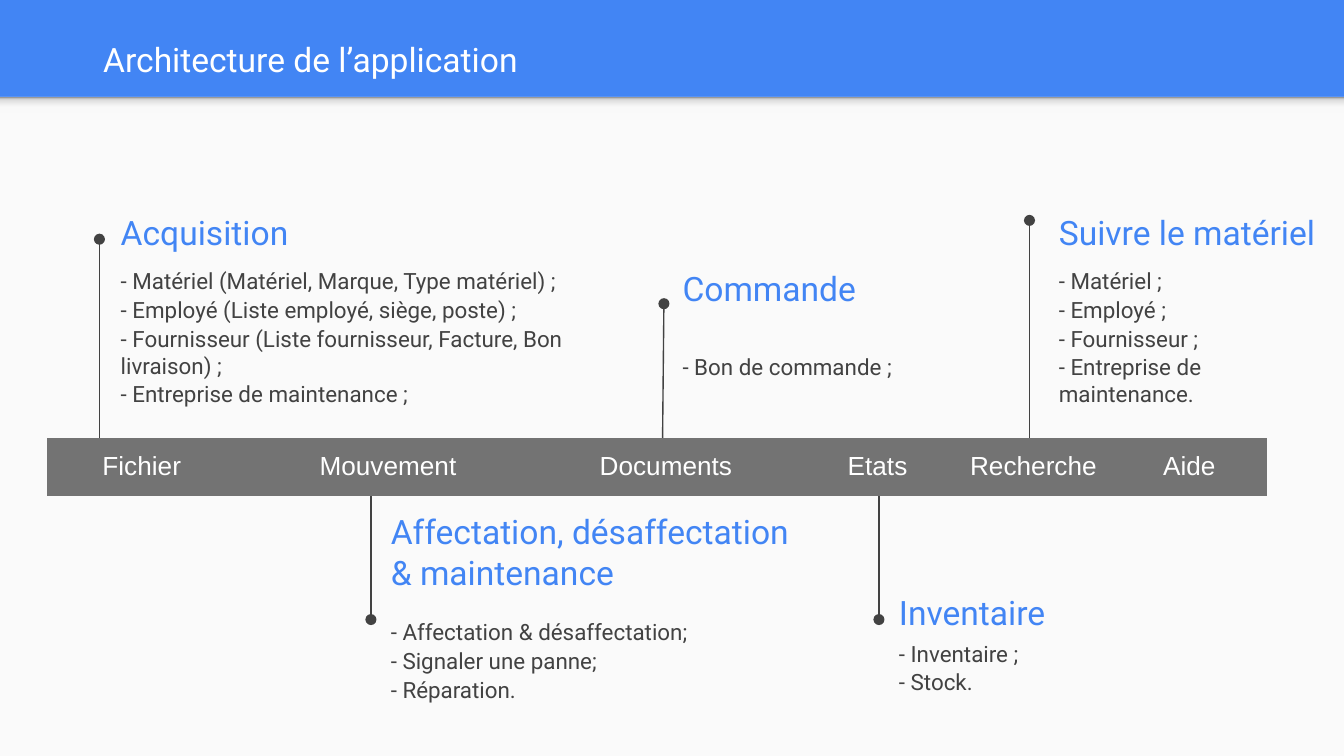
"""Build the application architecture slide: a menu bar with callouts above and below."""
from lxml import etree
from pptx import Presentation
from pptx.dml.color import RGBColor
from pptx.enum.shapes import MSO_CONNECTOR, MSO_SHAPE
from pptx.enum.text import MSO_ANCHOR, PP_ALIGN
from pptx.oxml.ns import qn
from pptx.util import Inches, Pt

RECT = MSO_SHAPE.RECTANGLE
STRAIGHT = MSO_CONNECTOR.STRAIGHT
TOP, MIDDLE = MSO_ANCHOR.TOP, MSO_ANCHOR.MIDDLE
CENTER = PP_ALIGN.CENTER

BLUE = RGBColor(0x42, 0x85, 0xF4)
PAPER = RGBColor(0xFA, 0xFA, 0xFA)
DARK = RGBColor(0x42, 0x42, 0x42)
GREY = RGBColor(0x73, 0x73, 0x73)
WHITE = RGBColor(0xFF, 0xFF, 0xFF)
SHADOW_STOPS = [(0, "F9F9F9"), (36, "F9F9F9"), (80, "DEDEDE"), (100, "999999")]

WIDTH, HEADER = 10, 0.72
HEIGHT = WIDTH * 9 / 16
BAR_LEFT, BAR_TOP, BAR_HEIGHT = 0.35, 3.26, 0.42
PAD = 0.1

TITLE = "Architecture de l’application"
MENU = [("Fichier", 1.41), (" Mouvement", 2.2), ("Documents", 1.99),
        ("Etats", 1.16), ("Recherche", 1.16), ("Aide", 1.16)]
CALLOUTS = [
    {"title": "Acquisition", "title_box": (0.8, 1.51, 1.98, 0.43),
     "body_box": (0.8, 1.89, 3.73, 1.05), "line": (0.74, 0.74, 1.78),
     "items": ["Matériel (Matériel, Marque, Type matériel) ;",
               "Employé (Liste employé, siège, poste) ;",
               "Fournisseur (Liste fournisseur, Facture, Bon livraison) ;",
               "Entreprise de maintenance ;"]},
    {"title": "Affectation, désaffectation & maintenance",
     "title_box": (2.81, 3.61, 3.36, 0.99),
     "body_box": (2.81, 4.5, 3.26, 0.99), "line": (2.76, 2.76, 4.61),
     "items": ["Affectation & désaffectation;", "Signaler une panne;", "Réparation."]},
    {"title": "Commande", "title_box": (4.98, 1.93, 1.98, 0.43),
     "body_box": (4.98, 2.5, 1.98, 0.63), "line": (4.93, 4.94, 2.26),
     "items": ["Bon de commande ;"], "spacing": 1.15},
    {"title": "Inventaire", "title_box": (6.59, 4.34, 1.98, 0.43),
     "body_box": (6.59, 4.66, 1.98, 0.63), "line": (6.54, 6.54, 4.61),
     "items": ["Inventaire ;", "Stock."]},
    {"title": "Suivre le matériel", "title_box": (7.78, 1.51, 2.22, 0.43),
     "body_box": (7.78, 1.89, 2.22, 1.24), "line": (7.66, 7.66, 1.64),
     "items": ["Matériel ;", "Employé ;", "Fournisseur ;", "Entreprise de maintenance."]},
]

HEAD_FONT = {"name": "Roboto", "size": Pt(18)}
BODY_FONT = {"name": "Roboto", "size": Pt(12)}
MENU_FONT = {"name": "Arial", "size": Pt(14), "bold": False}
MARGINS = {f"margin_{side}": Inches(PAD) for side in ("left", "top", "right", "bottom")}


def apply(obj, values):
    for name, value in values.items():
        setattr(obj, name, value)


def add_run(p, text, font, color):
    r = p.add_run()
    r.text = text
    apply(r.font, font)
    r.font.color.rgb = color


def add_rect(s, *box):
    sp = s.shapes.add_shape(RECT, *map(Inches, box))
    sp.shadow.inherit = False
    sp.line.fill.background()
    return sp


def add_text(s, box, lines, font, color, anchor, spacing=1.0):
    tf = s.shapes.add_textbox(*map(Inches, box)).text_frame
    apply(tf, {"word_wrap": True, "vertical_anchor": anchor, **MARGINS})
    for i, line in enumerate(lines):
        p = tf.add_paragraph() if i else tf.paragraphs[0]
        p.line_spacing = spacing
        if i:
            p.space_before = Pt(1)
        add_run(p, line, font, color)


def add_background(s):
    s.background.fill.solid()
    s.background.fill.fore_color.rgb = BLUE
    paper = add_rect(s, 0, HEADER, WIDTH, HEIGHT - HEADER)
    paper.fill.solid()
    paper.fill.fore_color.rgb = PAPER
    shade = add_rect(s, 0, HEADER, WIDTH, 0.12)
    shade.fill.gradient()
    shade.fill.gradient_angle = 90
    stops = next(shade.element.iter(qn("a:gsLst")))
    for old in list(stops):
        stops.remove(old)
    for position, color in SHADOW_STOPS:
        stop = etree.SubElement(stops, qn("a:gs"), pos=str(position * 1000))
        etree.SubElement(stop, qn("a:srgbClr"), val=color)


def add_pin(s, x_bar, x_end, y_end):
    y_bar = BAR_TOP if y_end < BAR_TOP else BAR_TOP + BAR_HEIGHT + 0.01
    pin = s.shapes.add_connector(STRAIGHT, *map(Inches, (x_bar, y_bar, x_end, y_end)))
    pin.line.color.rgb = DARK
    pin.line.width = Pt(0.75)
    etree.SubElement(pin.line._get_or_add_ln(), qn("a:tailEnd"), type="oval")
    etree.SubElement(pin.element.spPr, qn("a:effectLst"))


def add_menu(s):
    total = sum(width for _, width in MENU)
    box = (BAR_LEFT, BAR_TOP, total, BAR_HEIGHT)
    table = s.shapes.add_table(1, len(MENU), *map(Inches, box)).table
    apply(table, {"first_row": False, "horz_banding": False})
    for i, (label, width) in enumerate(MENU):
        table.columns[i].width = Inches(width)
        cell = table.cell(0, i)
        apply(cell, MARGINS)
        cell.fill.solid()
        cell.fill.fore_color.rgb = GREY
        fill = cell._tc.tcPr.find(qn("a:solidFill"))
        for side in ("a:lnL", "a:lnR", "a:lnT", "a:lnB"):
            border = etree.Element(qn(side), w="0")
            etree.SubElement(border, qn("a:noFill"))
            fill.addprevious(border)
        p = cell.text_frame.paragraphs[0]
        p.alignment = CENTER
        add_run(p, label, MENU_FONT, WHITE)


def main():
    prs = Presentation()
    prs.slide_width, prs.slide_height = Inches(WIDTH), Inches(HEIGHT)
    s = prs.slides.add_slide(prs.slide_layouts[6])
    add_background(s)
    add_text(s, (0.67, 0.11, 9.07, 0.66), [TITLE], HEAD_FONT, WHITE, MIDDLE)
    for c in CALLOUTS:
        add_pin(s, *c["line"])
        add_text(s, c["title_box"], [c["title"]], HEAD_FONT, BLUE, MIDDLE)
        items = [f"- {item}" for item in c["items"]]
        add_text(s, c["body_box"], items, BODY_FONT, DARK, TOP, c.get("spacing", 1.0))
    add_menu(s)
    prs.save("out.pptx")


if __name__ == "__main__":
    main()
